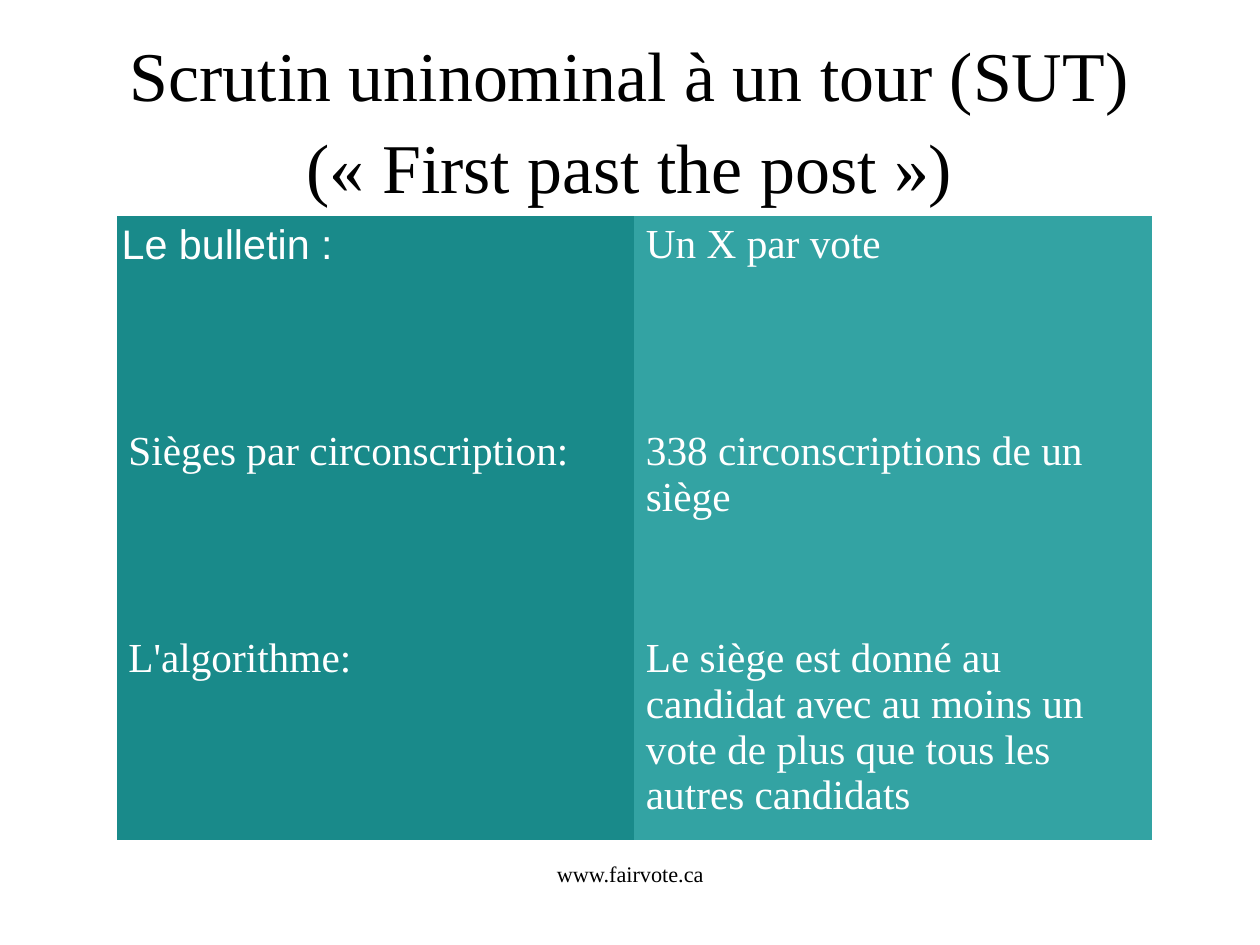
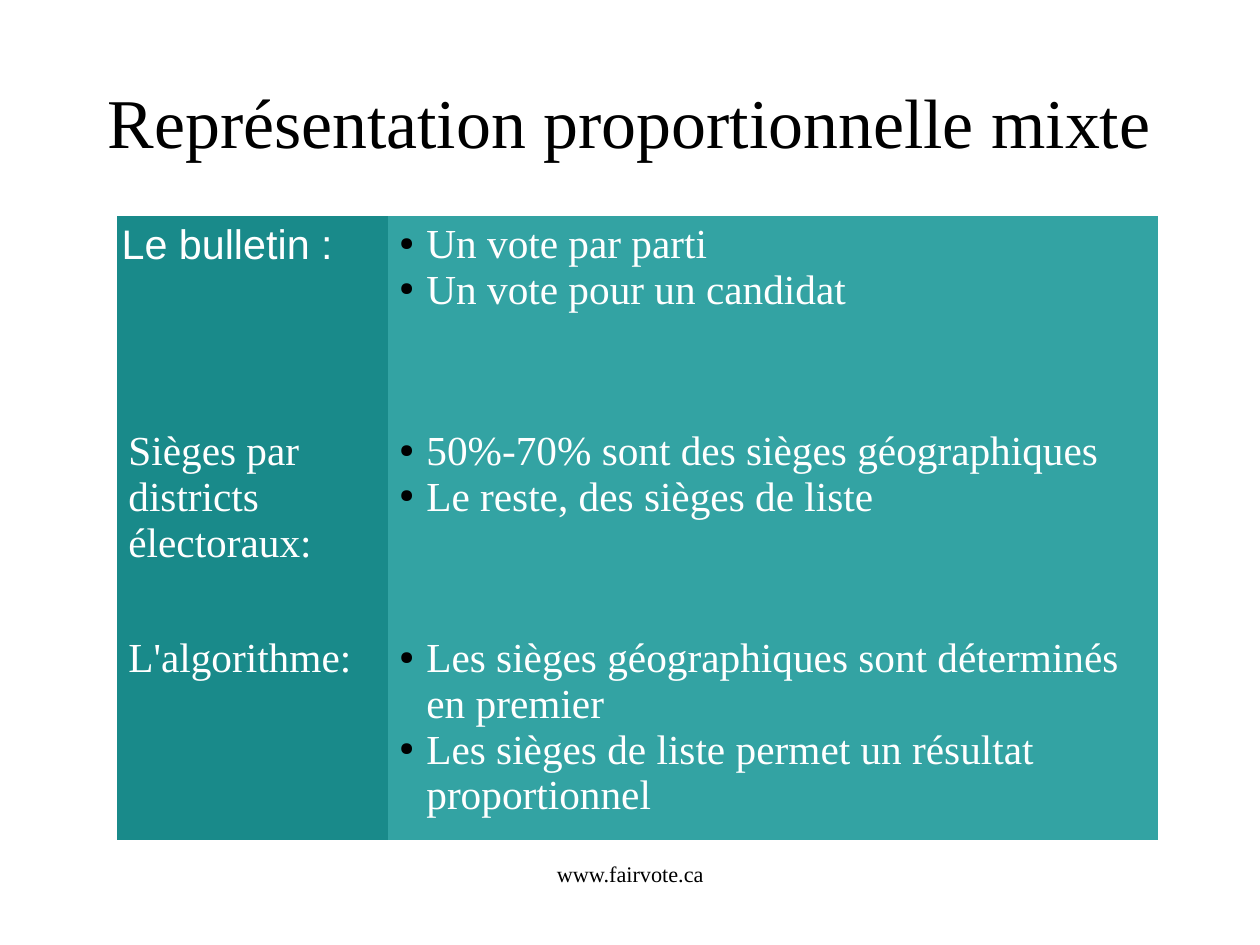
"""Build two slides that compare voting systems."""
import copy
from dataclasses import dataclass

import lxml.etree
import pptx
import pptx.dml.color
import pptx.enum.text
import pptx.oxml.ns
import pptx.util

Pt = pptx.util.Pt
RGB = pptx.dml.color.RGBColor
ALIGN = pptx.enum.text.PP_ALIGN
qn = pptx.oxml.ns.qn


@dataclass(frozen=True)
class Theme:
    serif: str = "Times New Roman"
    sans: str = "Arial"
    ink: str = "000000"
    white: str = "FFFFFF"
    label_fill: str = "198A8A"
    answer_fill: str = "33A3A3"
    title_size: int = 44
    body_size: int = 26
    footer_size: int = 14
    no_grid_style: str = "{2D5ABB26-0587-4C30-8999-92F81FD0307C}"


THEME = Theme()
TABLE_LEFT, TABLE_TOP, ROW_HEIGHT = 73.7, 136.2, 130.4
BULLET_INDENT = 17

SYSTEMS = [
    {
        "title": "Scrutin uninominal à un tour (SUT)\n(« First past the post »)",
        "title_top": 24.3,
        "title_height": 97.4,
        "widths": (326, 326),
        "bulleted": False,
        "rows": [
            ("Le bulletin :", ["Un X par vote"]),
            ("Sièges par circonscription:", ["338 circonscriptions de un siège"]),
            ("L'algorithme:", ["Le siège est donné au candidat avec au moins un vote "
                               "de plus que tous les autres candidats"]),
        ],
    },
    {
        "title": "Représentation proportionnelle mixte",
        "title_top": 27.4,
        "title_height": 92,
        "widths": (170.7, 485),
        "bulleted": True,
        "rows": [
            ("Le bulletin :", ["Un vote par parti", "Un vote pour un candidat"]),
            ("Sièges par districts électoraux:",
             ["50%-70% sont des sièges géographiques", "Le reste, des sièges de liste"]),
            ("L'algorithme:", ["Les sièges géographiques sont déterminés en premier",
                               "Les sièges de liste permet un résultat proportionnel"]),
        ],
    },
]


def add_bullet(paragraph):
    properties = paragraph._p.get_or_add_pPr()
    properties.set("marL", str(Pt(BULLET_INDENT)))
    properties.set("indent", str(-Pt(BULLET_INDENT)))
    color = lxml.etree.SubElement(properties, qn("a:buClr"))
    lxml.etree.SubElement(color, qn("a:srgbClr"), val=THEME.ink)
    lxml.etree.SubElement(properties, qn("a:buSzPct"), val="45000")
    lxml.etree.SubElement(properties, qn("a:buChar"), char="●")


def write(frame, paragraphs, *, size, font=THEME.serif, color=THEME.ink,
          align=ALIGN.LEFT, margins=(0, 0), bulleted=False, spacing=None):
    frame.word_wrap = True
    frame.margin_left = frame.margin_right = Pt(margins[0])
    frame.margin_top = frame.margin_bottom = Pt(margins[1])
    for index, text in enumerate(paragraphs):
        paragraph = frame.add_paragraph() if index else frame.paragraphs[0]
        if bulleted:
            add_bullet(paragraph)
        paragraph.text = text.replace("\n", "\v")
        paragraph.alignment = align
        paragraph.line_spacing = spacing
        for run in paragraph.runs:
            run.font.size = Pt(size)
            run.font.name = font
            run.font.color.rgb = RGB.from_string(color)
        for line_break in paragraph._p.findall(qn("a:br")):
            line_break.append(copy.deepcopy(paragraph.runs[0]._r.rPr))


def set_title(slide, system):
    title = slide.shapes.title
    title.left, title.width = Pt(39.7), Pt(714.2)
    title.top, title.height = Pt(system["title_top"]), Pt(system["title_height"])
    frame = title.text_frame
    frame.vertical_anchor = pptx.enum.text.MSO_ANCHOR.MIDDLE
    frame.auto_size = pptx.enum.text.MSO_AUTO_SIZE.SHAPE_TO_FIT_TEXT
    write(frame, [system["title"]], size=THEME.title_size, align=ALIGN.CENTER,
          spacing=1.09)


def fill_cell(cell, paragraphs, fill, *, inset=7.2, **text_format):
    cell.fill.solid()
    cell.fill.fore_color.rgb = RGB.from_string(fill)
    cell.margin_left = cell.margin_right = Pt(inset)
    cell.margin_top = cell.margin_bottom = Pt(3.6)
    write(cell.text_frame, paragraphs, size=THEME.body_size, color=THEME.white,
          margins=(inset, 3.6), **text_format)


def add_comparison(slide, system):
    rows, widths = system["rows"], system["widths"]
    graphic = slide.shapes.add_table(
        len(rows), len(widths), Pt(TABLE_LEFT), Pt(TABLE_TOP),
        Pt(sum(widths)), Pt(ROW_HEIGHT * len(rows)))
    table = graphic.table
    table.first_row = table.horz_banding = False
    next(graphic.element.iter(qn("a:tableStyleId"))).text = THEME.no_grid_style
    for column, width in zip(table.columns, widths):
        column.width = Pt(width)
    for index, (label, answers) in enumerate(rows):
        table.rows[index].height = Pt(ROW_HEIGHT)
        heading = {} if index else {"font": THEME.sans, "inset": 2.9}
        fill_cell(table.cell(index, 0), [label], THEME.label_fill, **heading)
        fill_cell(table.cell(index, 1), answers, THEME.answer_fill,
                  bulleted=system["bulleted"])


def add_footer(slide):
    footer = slide.shapes.add_textbox(Pt(271.4), Pt(542.2), Pt(251.3), Pt(41))
    write(footer.text_frame, ["www.fairvote.ca"], size=THEME.footer_size,
          align=ALIGN.CENTER)


def main():
    deck = pptx.Presentation()
    deck.slide_width, deck.slide_height = Pt(793.7), Pt(595.3)
    for system in SYSTEMS:
        slide = deck.slides.add_slide(deck.slide_layouts[5])
        set_title(slide, system)
        add_comparison(slide, system)
        add_footer(slide)
    deck.save("out.pptx")


if __name__ == "__main__":
    main()
